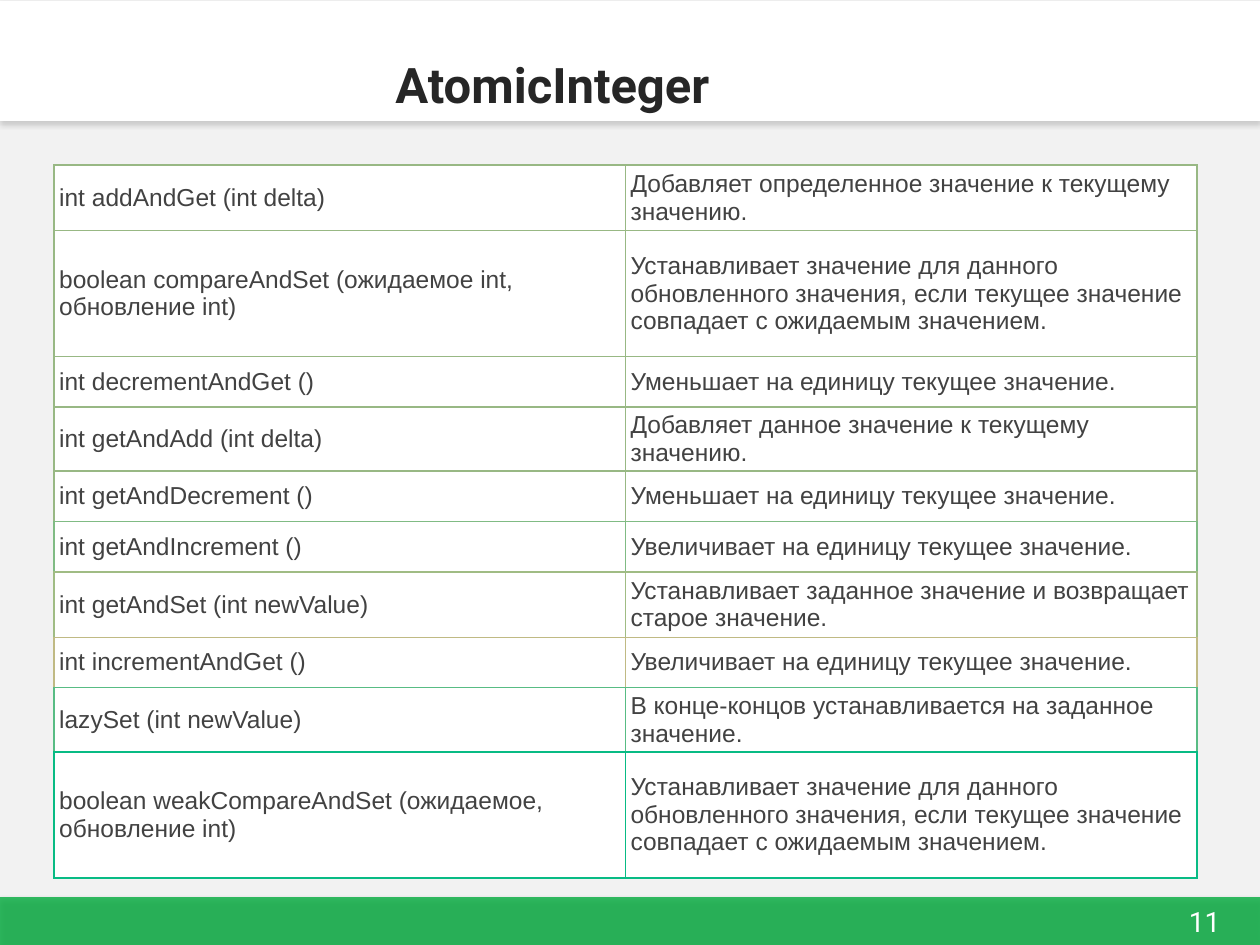
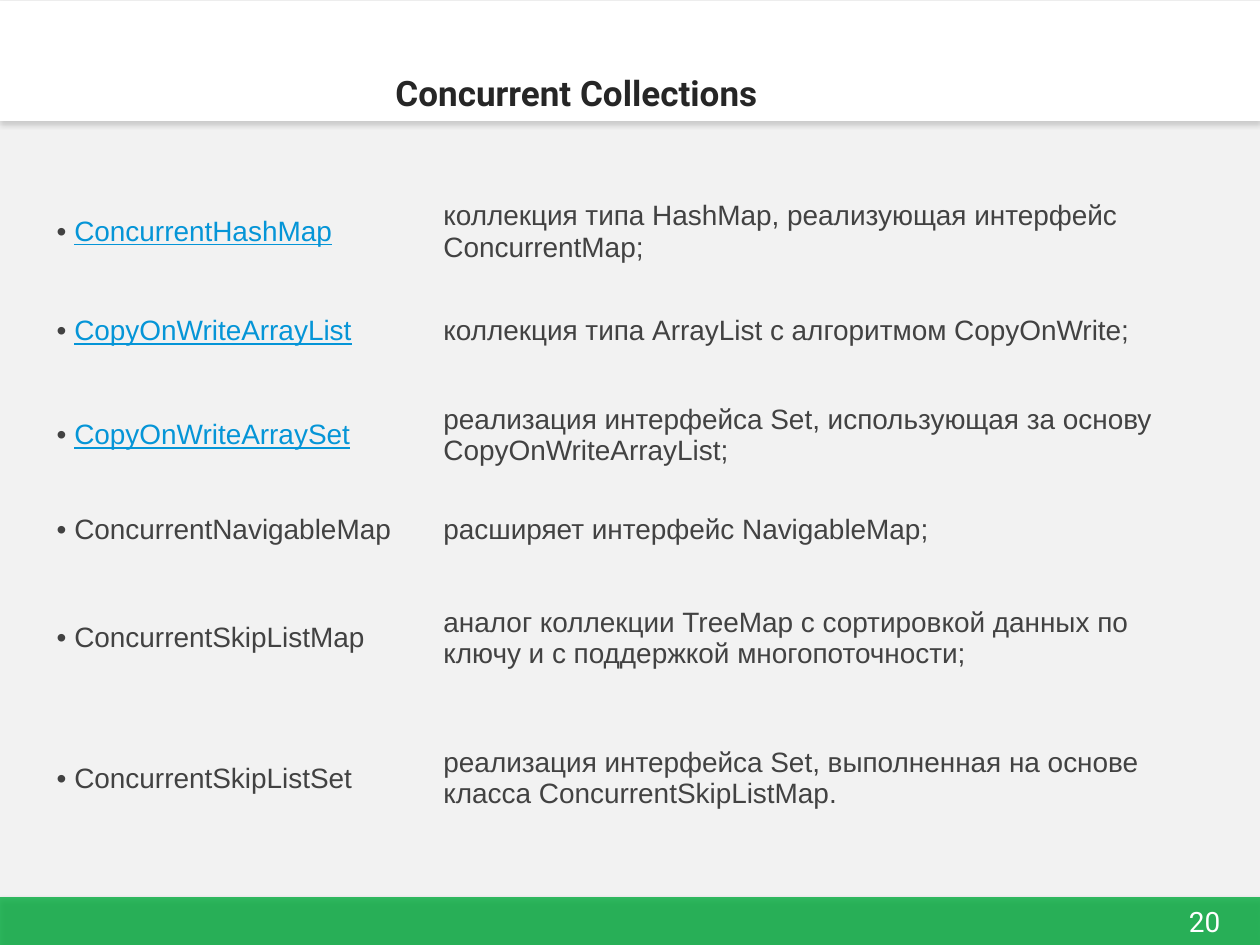
from lxml import etree
from pptx import Presentation
from pptx.dml.color import RGBColor
from pptx.enum.shapes import MSO_SHAPE
from pptx.enum.text import MSO_ANCHOR, PP_ALIGN
from pptx.oxml.ns import qn
from pptx.util import Inches, Pt

RECTANGLE = MSO_SHAPE.RECTANGLE
MIDDLE, BOTTOM = MSO_ANCHOR.MIDDLE, MSO_ANCHOR.BOTTOM
LEFT, CENTER = PP_ALIGN.LEFT, PP_ALIGN.CENTER

SLIDE_WIDTH, SLIDE_HEIGHT = Inches(10), Inches(7.5)
BACKGROUND = RGBColor(0xF2, 0xF2, 0xF2)
WHITE = RGBColor(0xFF, 0xFF, 0xFF)
BLACK = RGBColor(0x00, 0x00, 0x00)
GRAY = RGBColor(0x80, 0x80, 0x80)
GREEN = RGBColor(0x13, 0xB1, 0x4A)
TITLE_COLOR = RGBColor(0x26, 0x26, 0x26)
BODY_COLOR = RGBColor(0x42, 0x42, 0x42)
LINK_COLOR = RGBColor(0x05, 0x95, 0xD7)
SAGE = RGBColor(0x98, 0xB8, 0x84)
FERN = RGBColor(0x80, 0xBB, 0x84)
MOSS = RGBColor(0xA0, 0xBC, 0x84)
SAND = RGBColor(0xC0, 0xBA, 0x84)
MINT = RGBColor(0x58, 0xBC, 0x84)
TEAL = RGBColor(0x08, 0xBB, 0x84)

TITLE_FONT, BODY_FONT = "Roboto", "Arial"
NO_TABLE_STYLE = "{2D5ABB26-0587-4C30-8999-92F81FD0307C}"
BULLET_INDENT = Inches(0.14)

# Row heights are percentages of the slide height.
ONE_LINE, TWO_LINES, SPACED_LINES, TALL = 5.33, 6.8, 6.93, 13.33

INTEGER_METHODS = [
    ("int addAndGet (int delta)",
     "Добавляет определенное значение к текущему значению.", SPACED_LINES, SAGE),
    ("boolean compareAndSet (ожидаемое int, обновление int)",
     "Устанавливает значение для данного обновленного значения, "
     "если текущее значение совпадает с ожидаемым значением.", TALL, SAGE),
    ("int decrementAndGet ()", "Уменьшает на единицу текущее значение.", ONE_LINE, SAGE),
    ("int getAndAdd (int delta)",
     "Добавляет данное значение к текущему значению.", TWO_LINES, SAGE),
    ("int getAndDecrement ()", "Уменьшает на единицу текущее значение.", ONE_LINE, SAGE),
    ("int getAndIncrement ()", "Увеличивает на единицу текущее значение.", ONE_LINE, FERN),
    ("int getAndSet (int newValue)",
     "Устанавливает заданное значение и возвращает старое значение.", SPACED_LINES, MOSS),
    ("int incrementAndGet ()", "Увеличивает на единицу текущее значение.", ONE_LINE, SAND),
    ("lazySet (int newValue)",
     "В конце-концов устанавливается на заданное значение.", TWO_LINES, MINT),
    ("boolean weakCompareAndSet (ожидаемое, обновление int)",
     "Устанавливает значение для данного обновленного значения, "
     "если текущее значение совпадает с ожидаемым значением.", TALL, TEAL),
]

COLLECTIONS = [
    ("ConcurrentHashMap", True,
     "коллекция типа HashMap, реализующая интерфейс ConcurrentMap;", 12),
    ("CopyOnWriteArrayList", True,
     "коллекция типа ArrayList с алгоритмом CopyOnWrite;", 9.07),
    ("CopyOnWriteArraySet", True,
     "реализация интерфейса Set, использующая за основу CopyOnWriteArrayList;", 12.93),
    ("ConcurrentNavigableMap", False, "расширяет интерфейс NavigableMap;", 7.07),
    ("ConcurrentSkipListMap", False,
     "аналог коллекции TreeMap с сортировкой данных по ключу "
     "и с поддержкой многопоточности;", 15.87),
    ("ConcurrentSkipListSet", False,
     "реализация интерфейса Set, выполненная на основе класса "
     "ConcurrentSkipListMap.", 13.87),
]


def across(percent):
    return round(SLIDE_WIDTH * percent / 100)


def down(percent):
    return round(SLIDE_HEIGHT * percent / 100)


def box(left, top, width, height):
    """Turn percentages of the slide into a position and a size."""
    return across(left), down(top), across(width), down(height)


def add_child(parent, tag, **attributes):
    child = etree.SubElement(parent, qn(tag))
    for name, value in attributes.items():
        child.set(name, str(value))
    return child


def add_run(paragraph, text, size, color, font=BODY_FONT, bold=False, underline=False):
    run = paragraph.add_run()
    run.text = text
    run.font.name = font
    run.font.size = Pt(size)
    run.font.color.rgb = color
    run.font.bold = bold
    run.font.underline = underline


def add_band(slide, top, height, color, shadow_color, opacity=100):
    """Add a full-width band with a soft shadow below it."""
    band = slide.shapes.add_shape(RECTANGLE, *box(0, top, 100, height))
    band.fill.solid()
    band.fill.fore_color.rgb = color
    band.line.fill.background()
    if opacity < 100:
        fill_color = band.element.spPr.find(qn("a:solidFill"))[0]
        add_child(fill_color, "a:alpha", val=opacity * 1000)
    band.shadow.inherit = False
    effects = band.element.spPr.find(qn("a:effectLst"))
    shadow = add_child(effects, "a:outerShdw", blurRad=Pt(3.1), dist=Pt(1.8),
                       dir=90 * 60000, rotWithShape=0)
    add_child(add_child(shadow, "a:srgbClr", val=shadow_color), "a:alpha", val=35000)


def add_label(slide, position, text, size, color, anchor, alignment=LEFT, bold=False):
    frame = slide.shapes.add_textbox(*position).text_frame
    frame.word_wrap = True
    frame.vertical_anchor = anchor
    paragraph = frame.paragraphs[0]
    paragraph.alignment = alignment
    add_run(paragraph, text, size, color, TITLE_FONT, bold)


def add_page(presentation, title, title_size, number):
    """Add a slide with the shared bands, title and page number."""
    slide = presentation.slides.add_slide(presentation.slide_layouts[6])
    slide.background.fill.solid()
    slide.background.fill.fore_color.rgb = BACKGROUND
    add_band(slide, 94.93, 5.07, GREEN, BLACK, opacity=86)
    add_band(slide, 0.13, 12.67, WHITE, GRAY)
    add_label(slide, box(92.2, 95.07, 6.8, 4.93), str(number), 16, WHITE, MIDDLE, CENTER)
    add_label(slide, box(30.4, -0.13, 64.6, 12.8), title, title_size, TITLE_COLOR,
              BOTTOM, bold=True)
    return slide


def add_plain_table(slide, top, columns, rows, side_margin, end_margin):
    """Add an unstyled table with the given column widths and row heights."""
    frame = slide.shapes.add_table(len(rows), len(columns),
                                   *box(4.3, top, sum(columns), sum(rows)))
    table = frame.table
    table.first_row = table.horz_banding = False
    next(frame.element.iter(qn("a:tableStyleId"))).text = NO_TABLE_STYLE
    for column, width in zip(table.columns, columns):
        column.width = across(width)
    for row, height in zip(table.rows, rows):
        row.height = down(height)
    for cell in table.iter_cells():
        cell.vertical_anchor = MIDDLE
        cell.margin_left = cell.margin_right = Inches(side_margin)
        cell.margin_top = cell.margin_bottom = Inches(end_margin)
        cell.fill.background()
    return table


def outline_cell(cell, color, bottom_color):
    properties = cell._tc.get_or_add_tcPr()
    sides = {"a:lnL": color, "a:lnR": color, "a:lnT": color, "a:lnB": bottom_color}
    for index, (tag, side_color) in enumerate(sides.items()):
        line = add_child(properties, tag, w=Pt(1))
        add_child(add_child(line, "a:solidFill"), "a:srgbClr", val=side_color)
        properties.insert(index, line)


def add_bullet(paragraph):
    properties = paragraph._p.get_or_add_pPr()
    properties.set("marL", str(BULLET_INDENT))
    properties.set("indent", str(-BULLET_INDENT))
    add_child(add_child(properties, "a:buClr"), "a:srgbClr", val=BODY_COLOR)
    add_child(properties, "a:buFont", typeface=BODY_FONT)
    add_child(properties, "a:buChar", char="•")


def add_methods_table(slide):
    heights = [height for _, _, height, _ in INTEGER_METHODS]
    colors = [color for *_, color in INTEGER_METHODS]
    table = add_plain_table(slide, 17.47, [45.35, 45.35], heights, 0.04, 0.02)
    bottom_colors = colors[1:] + colors[-1:]
    for row, (method, description, _, color) in enumerate(INTEGER_METHODS):
        for column, text in enumerate((method, description)):
            cell = table.cell(row, column)
            outline_cell(cell, color, bottom_colors[row])
            cell.fill.solid()
            cell.fill.fore_color.rgb = WHITE
            add_run(cell.text_frame.paragraphs[0], text, 14, BODY_COLOR)


def add_collections_table(slide):
    heights = [height for *_, height in COLLECTIONS]
    table = add_plain_table(slide, 18.53, [30.7, 60], heights, 0.02, 0.01)
    for row, (name, linked, description, _) in enumerate(COLLECTIONS):
        name_paragraph, description_paragraph = (
            table.cell(row, column).text_frame.paragraphs[0] for column in (0, 1))
        add_bullet(name_paragraph)
        add_run(name_paragraph, name, 16, LINK_COLOR if linked else BODY_COLOR,
                underline=linked)
        add_run(description_paragraph, description, 16, BODY_COLOR)


def main():
    presentation = Presentation()
    presentation.slide_width, presentation.slide_height = SLIDE_WIDTH, SLIDE_HEIGHT
    add_methods_table(add_page(presentation, "AtomicInteger", 28, 11))
    add_collections_table(add_page(presentation, "Concurrent Collections", 20, 20))
    presentation.save("out.pptx")


if __name__ == "__main__":
    main()
